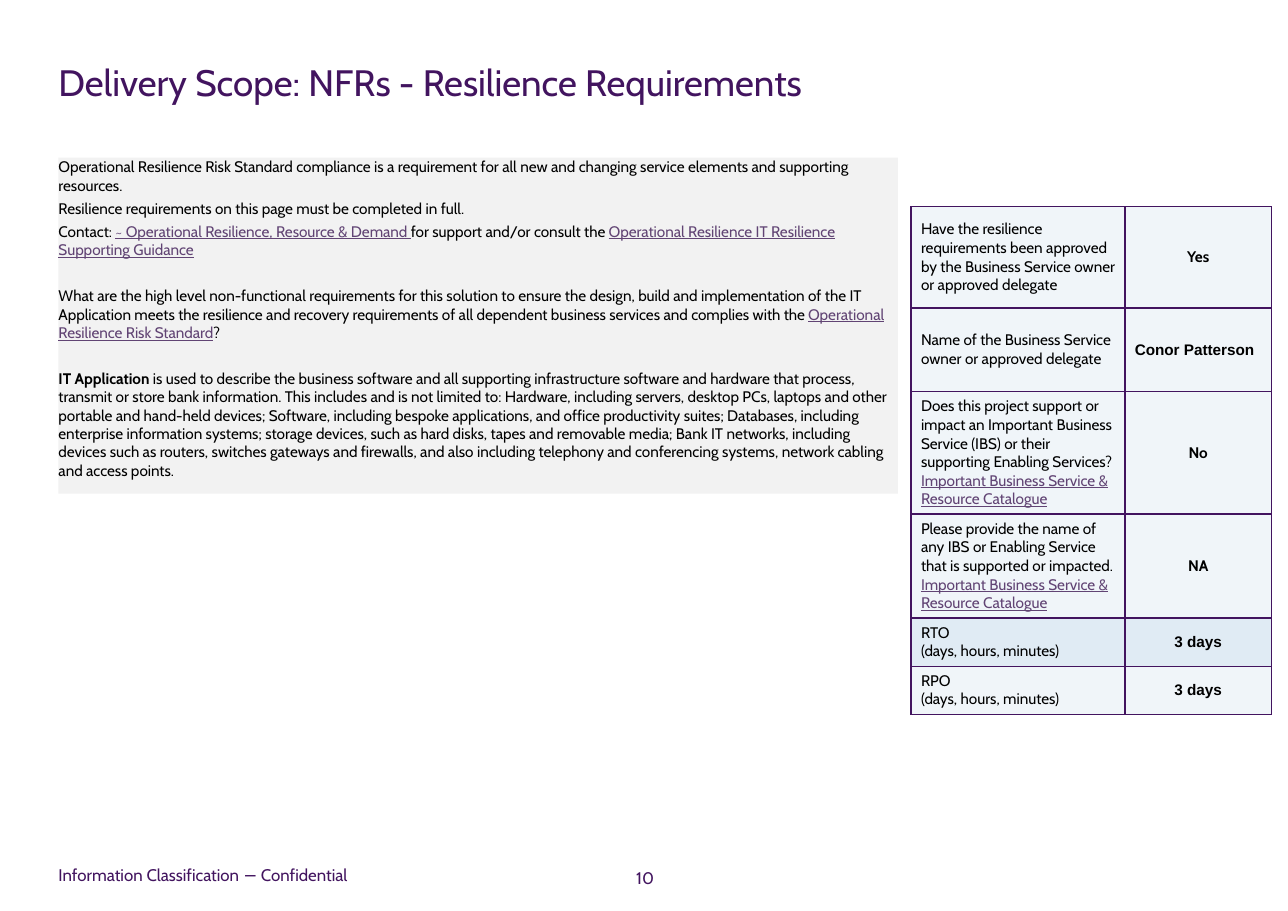
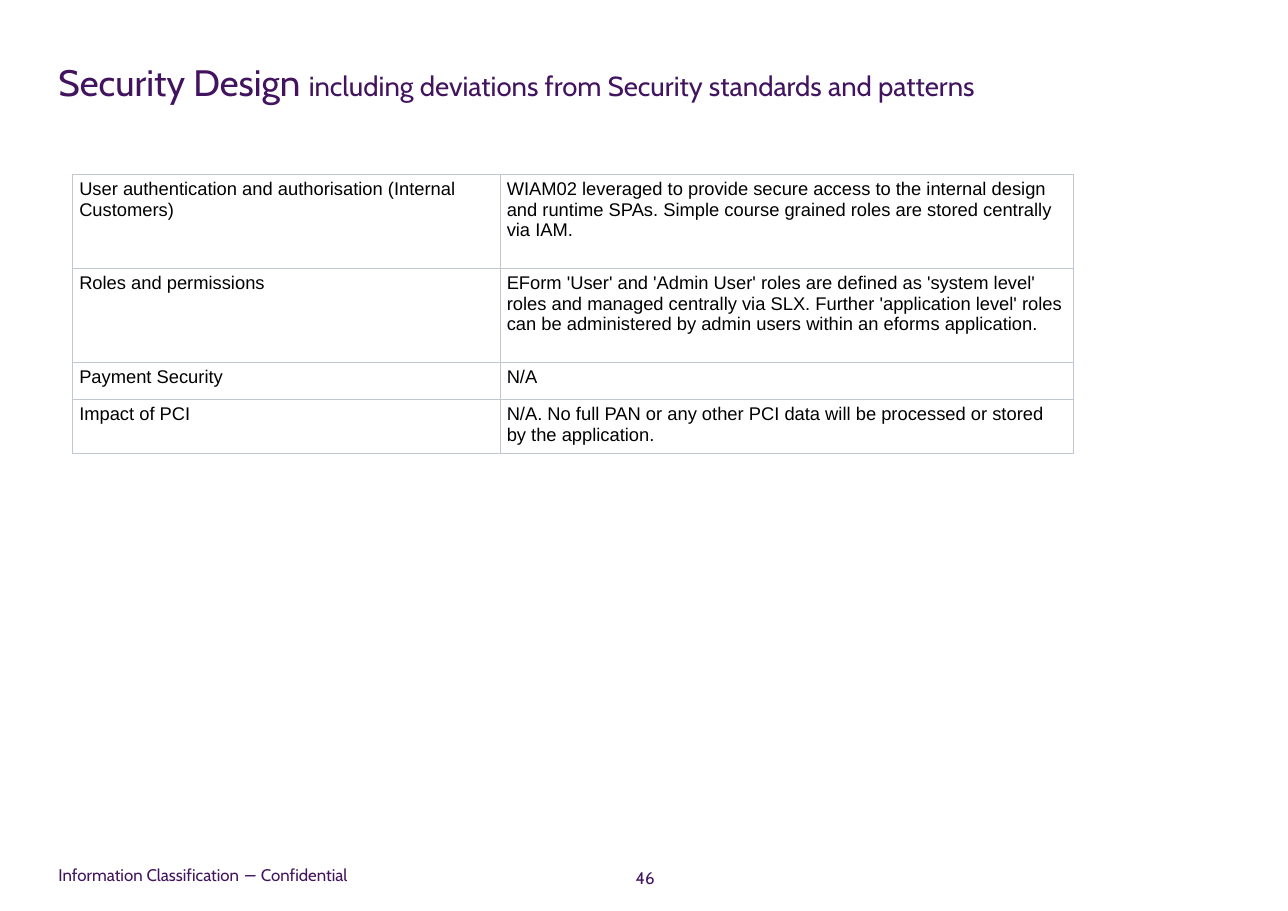
from lxml import etree
from pptx import Presentation
from pptx.dml.color import RGBColor
from pptx.enum.text import MSO_ANCHOR, MSO_AUTO_SIZE, PP_ALIGN
from pptx.oxml.ns import qn
from pptx.util import Pt

LEFT, CENTER = PP_ALIGN.LEFT, PP_ALIGN.CENTER
TOP, MIDDLE = MSO_ANCHOR.TOP, MSO_ANCHOR.MIDDLE
FIXED = MSO_AUTO_SIZE.NONE
PURPLE, LINK, BLACK, WHITE = "42145F", "614474", "000000", "FFFFFF"
GREY, PALE, BLUE, RULE = "F2F2F2", "F0F5F9", "E0EBF4", "C1C7D0"
CABIN, ARIAL = "Cabin", "Arial"
EDGE = 38.2

INTRO = [
    ["Operational Resilience Risk Standard compliance is a requirement for all new and "
     "changing service elements and supporting resources."],
    ["Resilience requirements on this page must be completed in full."],
    ["Contact: ", ("~ Operational Resilience, Resource & Demand ", "link"),
     "for support and/or consult the ",
     ("Operational Resilience IT Resilience Supporting Guidance", "link")],
    ["What are the high level non-functional requirements for this solution to ensure the "
     "design, build and implementation of the IT Application meets the resilience and "
     "recovery requirements of all dependent business services and complies with the ",
     ("Operational Resilience Risk Standard", "link"), "?"],
    [("IT Application", "bold"),
     " is used to describe the business software and all supporting infrastructure software "
     "and hardware that process, transmit or store bank information. This includes and is not "
     "limited to: Hardware, including servers, desktop PCs, laptops and other portable and "
     "hand-held devices; Software, including bespoke applications, and office productivity "
     "suites; Databases, including enterprise information systems; storage devices, such as "
     "hard disks, tapes and removable media; Bank IT networks, including devices such as "
     "routers, switches gateways and firewalls, and also including telephony and conferencing "
     "systems, network cabling and access points."],
]
INTRO_GAPS = [0, 3, 3, 18, 18]

CATALOG = [("Important Business Service & Resource Catalogue", "link")]
UNITS = ["(days, hours, minutes)"]
CHECKS = [
    ([["Have the resilience requirements been approved by the Business Service owner or "
       "approved delegate"]], "Yes", CABIN, CENTER, PALE),
    ([["Name of the Business Service owner or approved delegate"]],
     "Conor Patterson", ARIAL, LEFT, PALE),
    ([["Does this project support or impact an Important Business Service (IBS) or their "
       "supporting Enabling Services?"], CATALOG], "No", CABIN, CENTER, PALE),
    ([["Please provide the name of any IBS or Enabling Service that is supported or "
       "impacted."], CATALOG], "NA", CABIN, CENTER, PALE),
    ([["RTO"], UNITS], "3 days", ARIAL, CENTER, BLUE),
    ([["RPO"], UNITS], "3 days", ARIAL, CENTER, PALE),
]

DESIGN = [
    ("User authentication and authorisation (Internal Customers)",
     "WIAM02 leveraged to provide secure access to the internal design and runtime SPAs. "
     "Simple course grained roles are stored centrally via IAM."),
    ("Roles and permissions",
     "EForm 'User' and 'Admin User' roles are defined as 'system level' roles and managed "
     "centrally via SLX. Further 'application level' roles can be administered by admin "
     "users within an eforms application."),
    ("Payment Security", "N/A"),
    ("Impact of PCI",
     "N/A. No full PAN or any other PCI data will be processed or stored by the application."),
]


def paint(target, color):
    """Give a fill one solid colour."""
    target.solid()
    target.fore_color.rgb = RGBColor.from_string(color)


def write(frame, paras, face, size, color=BLACK, align=LEFT, gaps=None):
    """Write paragraphs of plain, bold or link runs."""
    for pos, parts in enumerate(paras):
        para = frame.add_paragraph() if pos else frame.paragraphs[0]
        para.alignment = align
        para.space_before = Pt(gaps[pos] if gaps else 0)
        for part in parts:
            text, mark = (part, "") if isinstance(part, str) else part
            run = para.add_run()
            run.text = text
            font = run.font
            font.name, font.size = face, Pt(size)
            font.bold, font.underline = mark == "bold", mark == "link"
            font.color.rgb = RGBColor.from_string(LINK if mark == "link" else color)


def place(shape, left, top, width, height):
    """Move and size a shape."""
    shape.left, shape.top = Pt(left), Pt(top)
    shape.width, shape.height = Pt(width), Pt(height)


def setup(frame, anchor=TOP, wrap=True):
    """Clear the insets of a frame and fix its layout."""
    frame.margin_left = frame.margin_right = frame.margin_top = frame.margin_bottom = 0
    frame.vertical_anchor, frame.word_wrap, frame.auto_size = anchor, wrap, FIXED


def label(slide, text, box, align=LEFT, wrap=True):
    """Add a small purple text box."""
    frame = slide.shapes.add_textbox(*map(Pt, box)).text_frame
    setup(frame, MIDDLE, wrap)
    write(frame, [[text]], CABIN, 11, PURPLE, align)


def page(deck, layout, title, number):
    """Add a slide with its title, footer and number."""
    slide = deck.slides.add_slide(deck.slide_layouts[layout])
    head = slide.shapes.title
    place(head, EDGE, 38.9, 674.6, 42.5)
    setup(head.text_frame)
    write(head.text_frame, [title], CABIN, 24, PURPLE)
    label(slide, "Information Classification − Confidential",
          (EDGE, 560.9, 195.8, 21.6), wrap=False)
    label(slide, str(number), (398.2, 563, 46.8, 21.6), CENTER)
    return slide


def body(slide, paras, gaps, box):
    """Fill the body placeholder with unbulleted text on grey."""
    shape = slide.placeholders[1]
    place(shape, *box)
    paint(shape.fill, GREY)
    setup(shape.text_frame)
    write(shape.text_frame, paras, CABIN, 10, gaps=gaps)
    for para in shape.text_frame.paragraphs:
        props = para._p.get_or_add_pPr()
        props.set("marL", "0")
        props.set("indent", "0")
        etree.SubElement(props, qn("a:buNone"))


def border(cell, color, width):
    """Draw all four borders of a cell."""
    props = cell._tc.get_or_add_tcPr()
    for side in ("a:lnL", "a:lnR", "a:lnT", "a:lnB"):
        line = etree.SubElement(props, qn(side), w=str(Pt(width)))
        solid = etree.SubElement(line, qn("a:solidFill"))
        etree.SubElement(solid, qn("a:srgbClr"), val=color)


def grid(slide, left, top, cols, rows):
    """Add a plain table with the given column and row sizes."""
    table = slide.shapes.add_table(len(rows), len(cols), Pt(left), Pt(top),
                                   Pt(sum(cols)), Pt(sum(rows))).table
    table.first_row = table.horz_banding = False
    for col, width in zip(table.columns, cols):
        col.width = Pt(width)
    for row, height in zip(table.rows, rows):
        row.height = Pt(height)
    return table


def style(cell, fill, line, width, pad, anchor):
    """Set the borders, fill, padding and anchor of a cell."""
    border(cell, line, width)
    paint(cell.fill, fill)
    cell.margin_left = cell.margin_right = Pt(pad[0])
    cell.margin_top = cell.margin_bottom = Pt(pad[1])
    cell.vertical_anchor = anchor


def checks(slide):
    """Add the table of resilience questions and answers."""
    table = grid(slide, 595.4, 135.1, [139.7, 95.8], [66.2, 54.7, 79.4, 67.3, 30.7, 30.7])
    for row, (ask, reply, face, align, fill) in enumerate(CHECKS):
        pair = table.cell(row, 0), table.cell(row, 1)
        for cell in pair:
            style(cell, fill, PURPLE, 1, (6.5, 3.6), MIDDLE)
        write(pair[0].text_frame, ask, CABIN, 10)
        write(pair[1].text_frame, [[(reply, "bold")]], face, 10, align=align)


def design(slide):
    """Add the table of security topics."""
    table = grid(slide, 47.5, 114.2, [279.4, 374.4], [61.2, 61.2, 24.5, 35.3])
    for row, texts in enumerate(DESIGN):
        for col, text in enumerate(texts):
            cell = table.cell(row, col)
            style(cell, WHITE, RULE, 0.75, (4.3, 2.9), TOP)
            write(cell.text_frame, [[text]], ARIAL, 12)


def main():
    """Build and save the two slides."""
    deck = Presentation()
    deck.slide_width, deck.slide_height = Pt(841.7), Pt(595.4)
    scope = page(deck, 1, ["Delivery Scope: NFRs - Resilience Requirements"], 10)
    body(scope, INTRO, INTRO_GAPS, (EDGE, 103, 548.6, 219.6))
    checks(scope)
    safety = page(deck, 5, ["Security Design ",
                            "including deviations from Security standards and patterns"], 46)
    safety.shapes.title.text_frame.paragraphs[0].runs[1].font.size = Pt(18)
    design(safety)
    deck.save("out.pptx")


if __name__ == "__main__":
    main()
